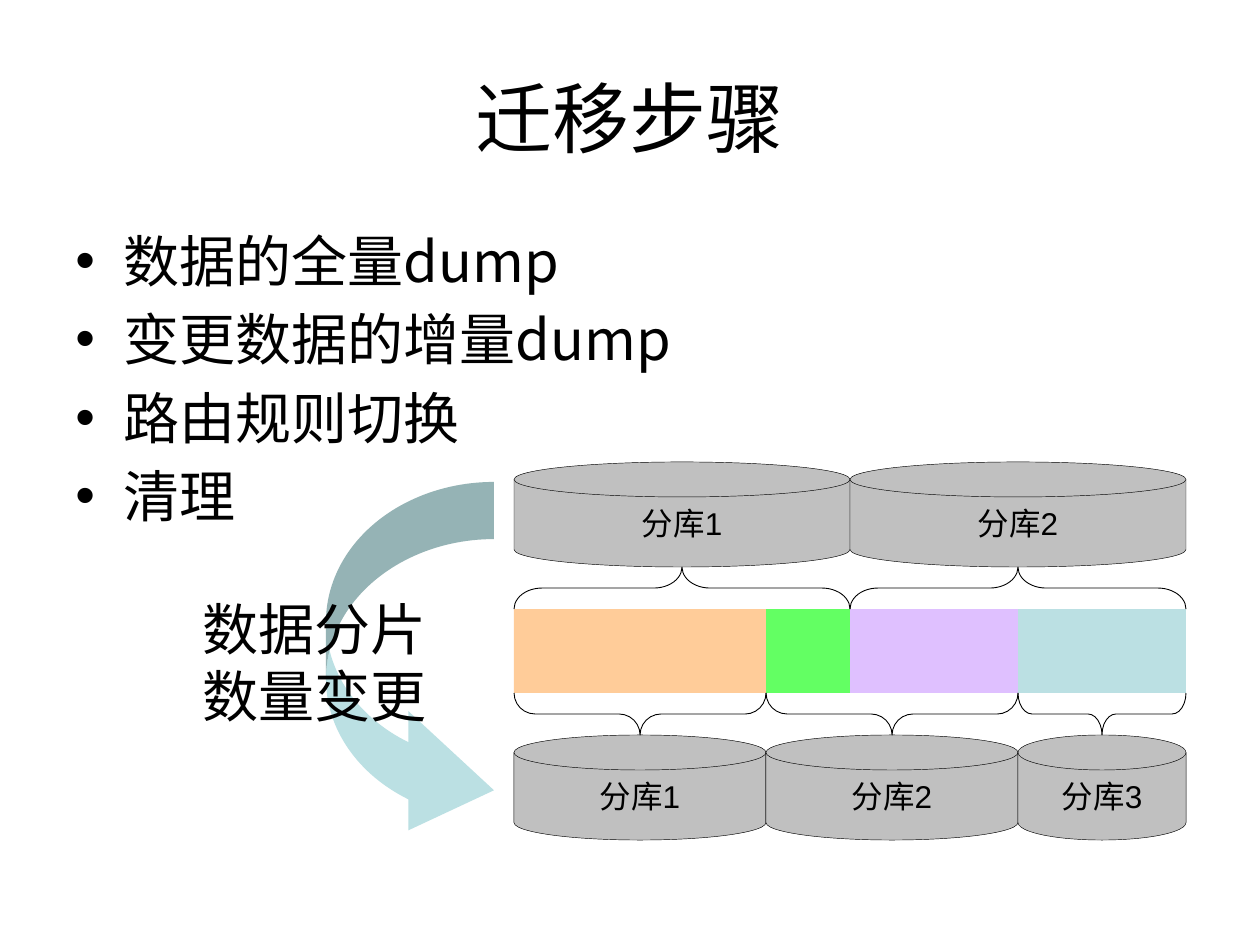
from lxml import etree
from pptx import Presentation
from pptx.dml.color import RGBColor
from pptx.enum.shapes import MSO_SHAPE
from pptx.enum.text import MSO_ANCHOR, PP_ALIGN
from pptx.oxml.ns import qn
from pptx.util import Pt

RECT, DISK = MSO_SHAPE.RECTANGLE, MSO_SHAPE.FLOWCHART_MAGNETIC_DISK
BRACE, ARROW = MSO_SHAPE.RIGHT_BRACE, MSO_SHAPE.CURVED_UP_ARROW
MIDDLE, CENTER = MSO_ANCHOR.MIDDLE, PP_ALIGN.CENTER

TITLE = "迁移步骤"
STEPS = ["数据的全量dump", "变更数据的增量dump", "路由规则切换", "清理"]
LABEL = ["数据分片", "数量变更"]
SHARDS = [(3, "orange", 100), (1, "green", 61), (2, "purple", 61), (2, "teal", 100)]
BEFORE = [(4, "分库1"), (4, "分库2")]
AFTER = [(3, "分库1"), (3, "分库2"), (2, "分库3")]

THEME = {
    "orange": "FFCC99", "green": "00FF00", "purple": "CC99FF", "teal": "BBE0E3",
    "disk": "C0C0C0", "ink": "000000",
    "font": "Arial", "body_font": "Noto Sans CJK SC",
    "title": 44, "body": 32, "small": 18,
}
PX = 914400 / 126
LEFT, UNIT = 514, 84
DISK_H, BRACE_H = 105, 42
TOP = 462
BAR_Y = TOP + DISK_H + BRACE_H
BOTTOM = BAR_Y + UNIT + BRACE_H


def px(*values):
    return [round(v * PX) for v in values]


def rgb(name):
    return RGBColor.from_string(THEME[name])


def add_run(p, text, size, font="font"):
    r = p.add_run()
    r.text = text
    r.font.size, r.font.name = Pt(THEME[size]), THEME[font]
    r.font.color.rgb = rgb("ink")


def add_text(s, x, y, w, h):
    tf = s.shapes.add_textbox(*px(x, y, w, h)).text_frame
    tf.word_wrap = True
    return tf


def add_shape(s, kind, box, fill=None, line=None, alpha=100):
    sp = s.shapes.add_shape(kind, *px(*box))
    sp.shadow.inherit = False
    if fill:
        sp.fill.solid()
        sp.fill.fore_color.rgb = rgb(fill)
        if alpha < 100:
            clr = sp.fill._xPr.find(qn("a:solidFill"))[0]
            etree.SubElement(clr, qn("a:alpha"), val=str(alpha * 1000))
    else:
        sp.fill.background()
    if line:
        sp.line.color.rgb = rgb("ink")
        sp.line.width = Pt(line)
    else:
        sp.line.fill.background()
    return sp


def add_bullet(p):
    pPr = p._p.get_or_add_pPr()
    indent = round(48 * PX)
    pPr.set("marL", str(indent))
    pPr.set("indent", str(-indent))
    etree.SubElement(pPr, qn("a:buFont"), typeface=THEME["font"])
    etree.SubElement(pPr, qn("a:buChar"), char="•")


def spans(items):
    x = LEFT
    for units, *rest in items:
        yield (x, units * UNIT, *rest)
        x += units * UNIT


def add_disks(s, items, disk_y, brace_y, rotation):
    for x, w, name in spans(items):
        sp = add_shape(s, DISK, (x, disk_y, w, DISK_H), "disk", 0.25)
        tf = sp.text_frame
        tf.word_wrap, tf.vertical_anchor = False, MIDDLE
        p = tf.paragraphs[0]
        p.alignment = CENTER
        add_run(p, name, "small")

        box = (x + (w - BRACE_H) / 2, brace_y + (BRACE_H - w) / 2, BRACE_H, w)
        brace = add_shape(s, BRACE, box, line=0.5)
        brace.rotation = rotation
        brace.adjustments[0] = w / (6 * UNIT)


def main():
    prs = Presentation()
    prs.slide_width, prs.slide_height = px(1260, 945)
    s = prs.slides.add_slide(prs.slide_layouts[6])

    tf = add_text(s, 63, 38, 1134, 157)
    tf.vertical_anchor = MIDDLE
    p = tf.paragraphs[0]
    p.alignment = CENTER
    add_run(p, TITLE, "title")

    tf = add_text(s, 63, 220, 1134, 624)
    for i, step in enumerate(STEPS):
        p = tf.add_paragraph() if i else tf.paragraphs[0]
        if i:
            p.space_before = Pt(6.4)
        add_bullet(p)
        add_run(p, step, "body", "body_font")

    for x, w, fill, alpha in spans(SHARDS):
        add_shape(s, RECT, (x, BAR_Y, w, UNIT), fill, alpha=alpha)
    add_disks(s, BEFORE, TOP, TOP + DISK_H, 270)
    add_disks(s, AFTER, BOTTOM, BAR_Y + UNIT, 90)

    arrow = add_shape(s, ARROW, (226, 582, 368, 168), "teal")
    arrow.rotation = 90
    for i, value in enumerate((0.34, 0.71, 0.51)):
        arrow.adjustments[i] = value

    p = add_text(s, 126, 588, 378, 147).paragraphs[0]
    p.alignment = CENTER
    for i, text in enumerate(LABEL):
        if i:
            p.add_line_break()
        add_run(p, text, "body")

    prs.save("out.pptx")


if __name__ == "__main__":
    main()
